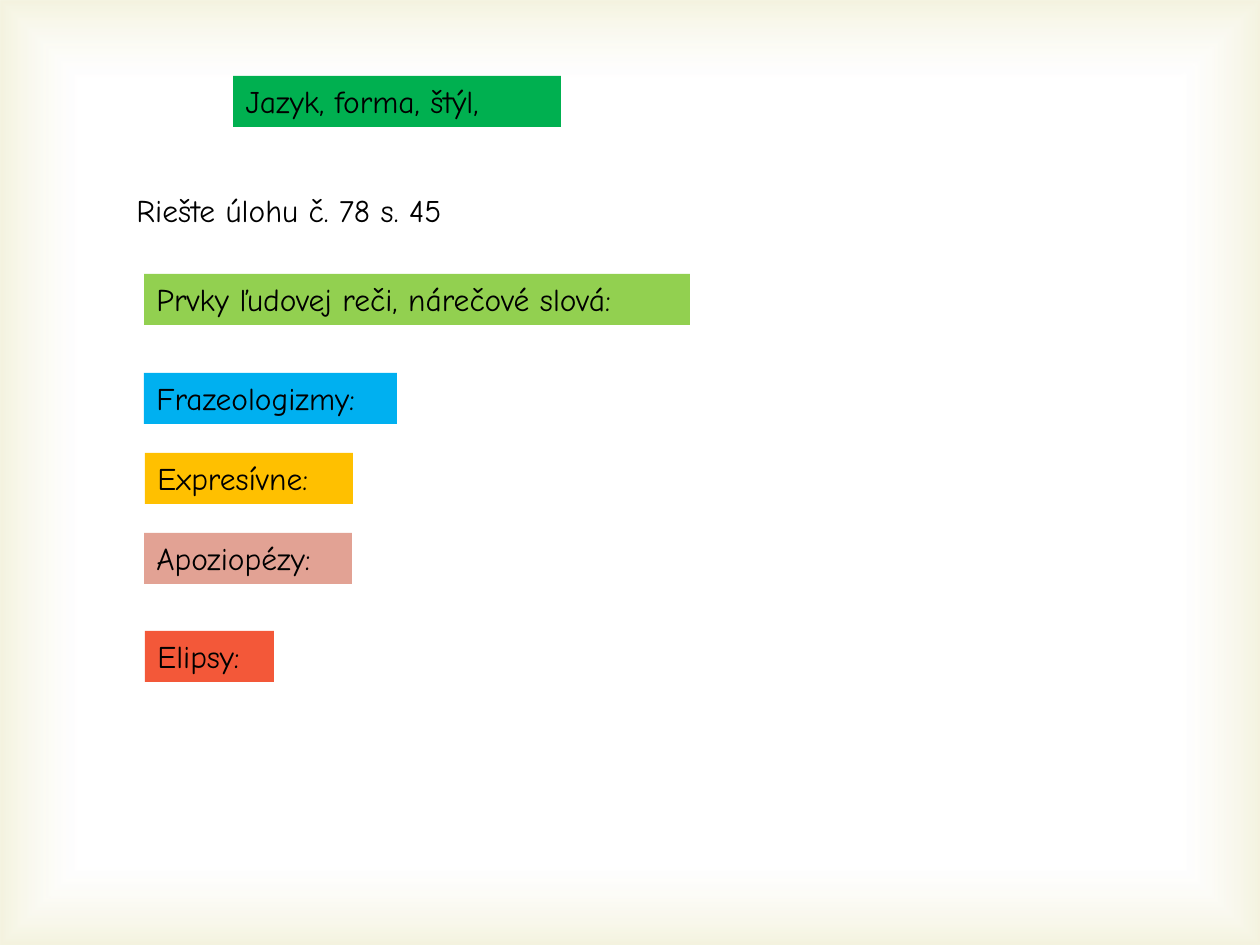
from lxml.etree import SubElement
from pptx import Presentation
from pptx.dml.color import RGBColor
from pptx.enum.shapes import MSO_SHAPE
from pptx.enum.text import MSO_ANCHOR, MSO_AUTO_SIZE, PP_ALIGN
from pptx.oxml import parse_xml
from pptx.oxml.ns import nsdecls, qn
from pptx.util import Emu, Pt

# Content: text, left, top, width in px, fill name
TITLE = ("Jazyk, forma, štýl,", 233, 76, 328, "green")
LABELS = [
    ("Riešte úlohu č. 78 s. 45", 124, 185, 496, None),
    ("Prvky ľudovej reči, nárečové slová:", 144, 274, 546, "lime"),
    ("Frazeologizmy:", 144, 373, 253, "blue"),
    ("Expresívne:", 145, 453, 208, "amber"),
    ("Apoziopézy:", 144, 533, 208, "rose"),
    ("Elipsy:", 145, 631, 129, "red"),
]
COLORS = {
    "text": "000000", "green": "00B050", "lime": "92D050", "blue": "00B0F0",
    "amber": "FFC000", "rose": "E2A294", "red": "F35839",
    "white": "FFFFFF", "olive": "D1CA75",
}
# Frame glow: position, colour and opacity in percent
GLOW_STOPS = [(0, "white", 11), (83, "white", 11), (100, "olive", 23)]
FONT = "Comic Neue"
PAGE_WIDTH, PAGE_HEIGHT, LABEL_HEIGHT = 1260, 945, 51


def px(value):
    return Emu(value * 914400 // 126)


def add_glow(slide):
    glow = slide.shapes.add_shape(MSO_SHAPE.RECTANGLE, 0, 0,
                                  px(PAGE_WIDTH), px(PAGE_HEIGHT))
    glow.shadow.inherit = False
    glow.line.fill.background()
    gradient = parse_xml(f'<a:gradFill {nsdecls("a")} rotWithShape="1"/>')
    stops = SubElement(gradient, qn("a:gsLst"))
    for position, name, opacity in GLOW_STOPS:
        stop = SubElement(stops, qn("a:gs"), pos=str(position * 1000))
        color = SubElement(stop, qn("a:srgbClr"), val=COLORS[name])
        SubElement(color, qn("a:alpha"), val=str(opacity * 1000))
    center = SubElement(gradient, qn("a:path"), path="rect")
    SubElement(center, qn("a:fillToRect"),
               {side: "50000" for side in ("l", "t", "r", "b")})
    glow.element.spPr.find(qn("a:prstGeom")).addnext(gradient)
    slide.shapes.element.insert(2, glow.element)  # behind the title


def format_label(box, text, left, top, width, fill):
    box.left, box.top = px(left), px(top)
    box.width, box.height = px(width), px(LABEL_HEIGHT)
    if fill:
        box.fill.solid()
        box.fill.fore_color.rgb = RGBColor.from_string(COLORS[fill])
    frame = box.text_frame
    frame.text = text
    frame.word_wrap = True
    # A title set to grow keeps the layout's height, so all boxes stay fixed
    frame.auto_size = MSO_AUTO_SIZE.NONE
    frame.vertical_anchor = MSO_ANCHOR.TOP
    para = frame.paragraphs[0]
    para.alignment = PP_ALIGN.LEFT
    font = para.runs[0].font
    font.name, font.size = FONT, Pt(18)
    font.color.rgb = RGBColor.from_string(COLORS["text"])


def main():
    deck = Presentation()
    deck.slide_width, deck.slide_height = px(PAGE_WIDTH), px(PAGE_HEIGHT)
    slide = deck.slides.add_slide(deck.slide_layouts[5])

    # Background frame
    add_glow(slide)

    # Title and labels
    format_label(slide.shapes.title, *TITLE)
    for label in LABELS:
        format_label(slide.shapes.add_textbox(0, 0, 0, 0), *label)

    deck.save("out.pptx")


if __name__ == "__main__":
    main()
